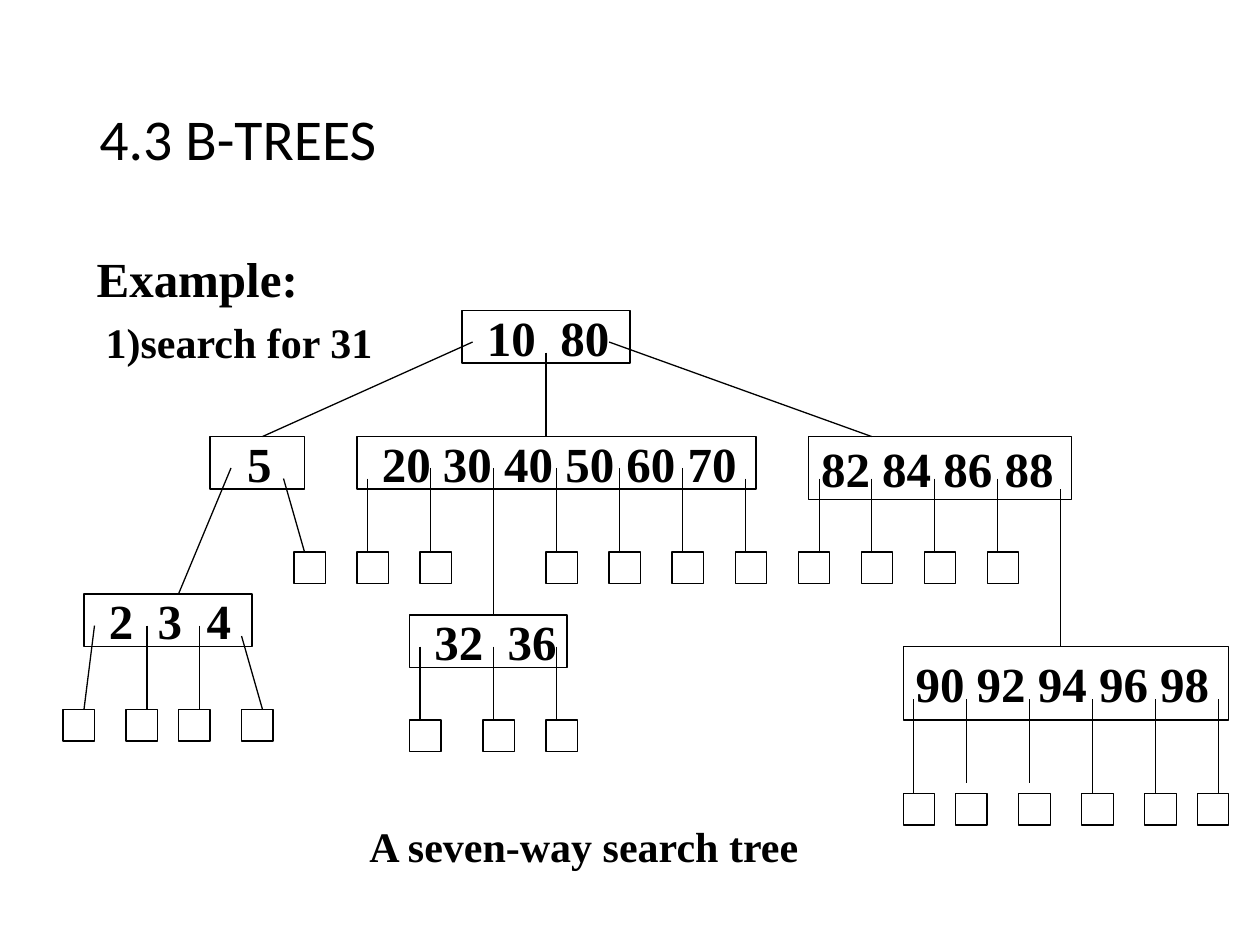
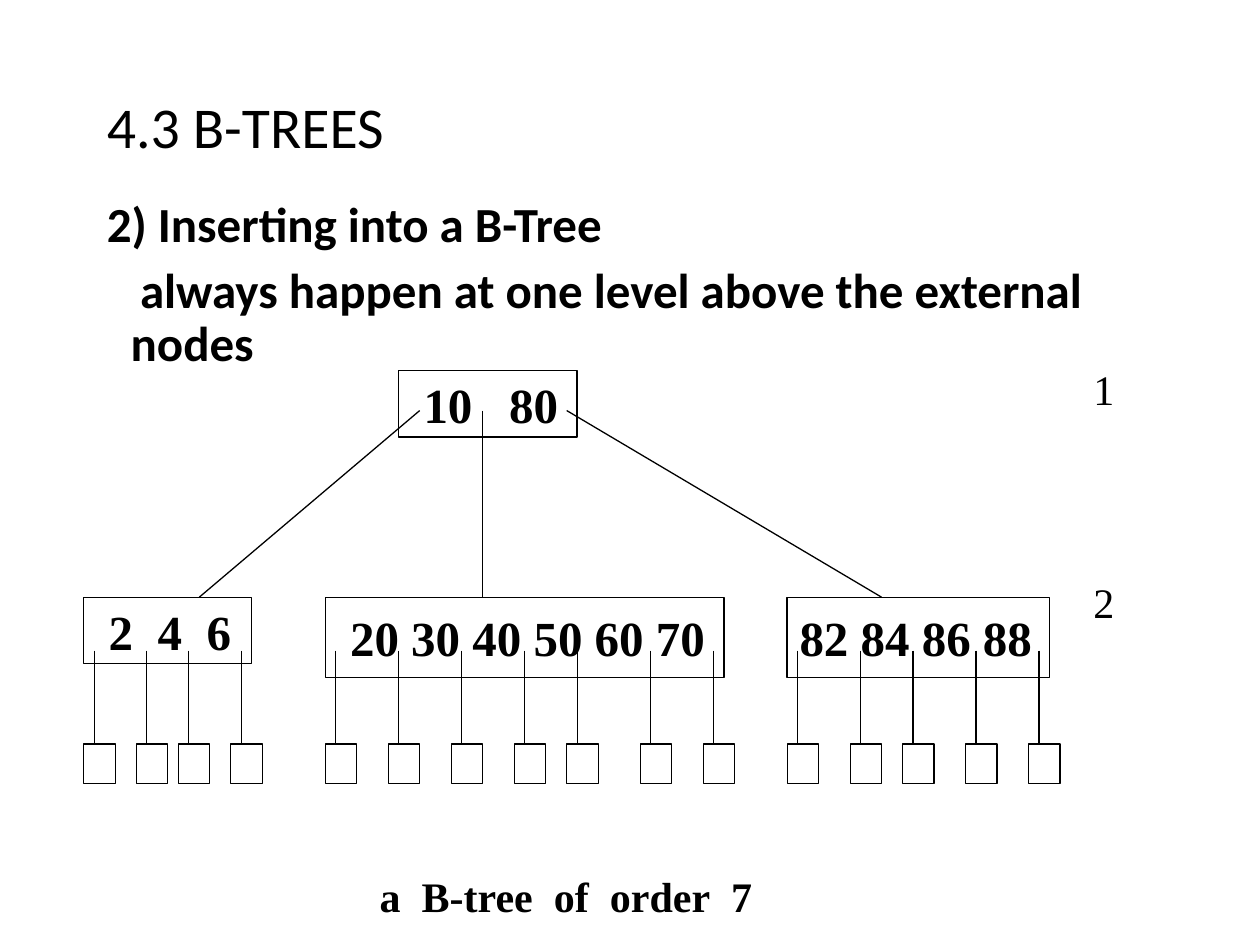
from dataclasses import dataclass

from lxml.etree import SubElement
from pptx import Presentation
from pptx.dml.color import RGBColor
from pptx.enum.shapes import MSO_CONNECTOR, MSO_SHAPE
from pptx.enum.text import MSO_ANCHOR, MSO_AUTO_SIZE, PP_ALIGN
from pptx.oxml.ns import qn
from pptx.util import Cm, Pt


@dataclass(frozen=True)
class Theme:
    ink: RGBColor = RGBColor(0, 0, 0)
    paper: RGBColor = RGBColor(255, 255, 255)
    heading_font: str = "Calibri"
    tree_font: str = "Times New Roman"
    title_size: int = 33
    main_size: int = 28
    label_size: int = 24
    line_width: float = 0.75
    line_spacing: float = 0.9
    inset: float = 0.25


THEME = Theme()
TITLE_ONLY, TITLE_AND_CONTENT = 5, 1
LEAF_SIZE = 3  # columns and rows


# Text helpers
def add_run(paragraph, text, size, font=THEME.tree_font, bold=True):
    run = paragraph.add_run()
    run.text = text
    run.font.size = Pt(size)
    run.font.name = font
    run.font.bold = bold
    run.font.color.rgb = THEME.ink
    return run


def add_spaced_words(paragraph, text, size, gap):
    """Separate words by a space as wide as `gap` ordinary ones."""
    if gap == 1:
        add_run(paragraph, text, size)
        return
    for index, word in enumerate(text.split()):
        if index:
            space = add_run(paragraph, " ", size)
            extra = (gap - 1) * size / 4
            space.font._element.set("spc", str(int(extra * 100)))
        add_run(paragraph, word, size)


def add_label(slide, text, box, size=THEME.label_size, bold=True, gap=1, indent=0):
    shape = slide.shapes.add_textbox(*(Cm(length) for length in box))
    frame = shape.text_frame
    frame.word_wrap = True
    frame.margin_left = Cm(THEME.inset + indent)
    paragraph = frame.paragraphs[0]
    if bold:
        add_spaced_words(paragraph, text, size, gap)
    else:
        add_run(paragraph, text, size, bold=False)


# Title shared by both slides
def add_title(slide, box):
    title = slide.shapes.title
    title.left, title.top, title.width, title.height = (Cm(n) for n in box)
    frame = title.text_frame
    frame.auto_size = MSO_AUTO_SIZE.NONE
    frame.vertical_anchor = MSO_ANCHOR.MIDDLE
    paragraph = frame.paragraphs[0]
    paragraph.alignment = PP_ALIGN.LEFT
    paragraph.line_spacing = THEME.line_spacing
    add_run(paragraph, "4.3 B-TREES", THEME.title_size, THEME.heading_font, False)


# Body list: each item is (text, first line indent in cm)
def add_body(slide, box, items):
    body = slide.placeholders[1]
    body.left, body.top, body.width, body.height = (Cm(n) for n in box)
    frame = body.text_frame
    frame.auto_size = MSO_AUTO_SIZE.NONE
    for index, (text, indent) in enumerate(items):
        paragraph = frame.add_paragraph() if index else frame.paragraphs[0]
        paragraph.alignment = PP_ALIGN.LEFT
        paragraph.line_spacing = THEME.line_spacing
        paragraph.space_before = Pt(7.5 if index else 0)
        properties = paragraph._p.get_or_add_pPr()
        properties.set("marL", str(Cm(0.48)))
        properties.set("indent", str(Cm(indent)))
        SubElement(properties, qn("a:buNone"))
        add_run(paragraph, text, THEME.main_size, THEME.heading_font)


class Tree:
    """Draws nodes, leaves and branches on a grid that fills a box."""

    def __init__(self, slide, box, columns, rows):
        self.slide = slide
        self.left, self.top, width, height = box
        self.column = width / columns
        self.row = height / rows

    def point(self, column, row):
        return (Cm(self.left + column * self.column),
                Cm(self.top + row * self.row))

    def rectangle(self, column, row, columns, rows):
        shape = self.slide.shapes.add_shape(
            MSO_SHAPE.RECTANGLE, *self.point(column, row),
            Cm(columns * self.column), Cm(rows * self.row))
        shape.shadow.inherit = False
        shape.fill.background()
        shape.line.color.rgb = THEME.ink
        shape.line.width = Pt(THEME.line_width)
        return shape

    def node(self, keys, column, row, columns, rows=5, gap=1, indent=0.25):
        frame = self.rectangle(column, row, columns, rows).text_frame
        frame.word_wrap = True
        frame.vertical_anchor = MSO_ANCHOR.MIDDLE
        frame.margin_left = Cm(THEME.inset + indent)
        frame.margin_right = 0
        paragraph = frame.paragraphs[0]
        paragraph.alignment = PP_ALIGN.LEFT
        add_spaced_words(paragraph, keys, THEME.main_size, gap)

    def leaves(self, columns, row):
        for column in columns:
            self.rectangle(column, row, LEAF_SIZE, LEAF_SIZE)

    def branch(self, start, end):
        line = self.slide.shapes.add_connector(
            MSO_CONNECTOR.STRAIGHT, *self.point(*start), *self.point(*end))
        line.line.color.rgb = THEME.ink
        line.line.width = Pt(THEME.line_width)
        SubElement(line._element.spPr, qn("a:effectLst"))

    def drops(self, columns, top, bottom):
        for column in columns:
            self.branch((column, top), (column, bottom))

    def label(self, text, column, row, columns, **style):
        box = (self.left + column * self.column, self.top + row * self.row,
               columns * self.column, 1.27)
        add_label(self.slide, text, box, **style)


# Seven-way search tree
def draw_search_tree(slide, box):
    tree = Tree(slide, box, columns=111, rows=54)

    # Root and second level
    tree.node("10 80", 38, 0, 16, gap=2)
    tree.node("5", 14, 12, 9, indent=0.5)
    tree.node("20 30 40 50 60 70", 28, 12, 38)
    tree.node("82 84 86 88", 71, 12, 25, rows=6, indent=0)
    tree.branch((39, 3), (19, 12))
    tree.branch((46, 4), (46, 12))
    tree.branch((52, 3), (77, 12))

    # Leaves below the second level
    tree.leaves([22, *range(28, 35, 6), *range(46, 89, 6)], 23)
    tree.branch((21, 16), (23, 23))
    tree.drops([29, 65, 72, 77, 83, 89], 16, 23)
    tree.drops([35, 47, 53, 59], 15, 23)

    # Third level
    tree.node("2 3 4", 2, 27, 16, gap=2)
    tree.node("32 36", 33, 29, 15, gap=2)
    tree.node("90 92 94 96 98", 80, 32, 31, rows=7, indent=0)
    tree.branch((16, 15), (11, 27))
    tree.drops([41], 15, 29)
    tree.drops([95], 17, 32)

    # Leaves below the third level
    tree.leaves([0, 6, 11, 17], 38)
    tree.branch((3, 30), (2, 38))
    tree.drops([8, 13], 30, 38)
    tree.branch((17, 31), (19, 38))
    tree.leaves([33, 40, 46], 39)
    tree.drops([34, 41, 47], 32, 39)
    tree.leaves([80, 85, 91, 97, 103, 108], 46)
    tree.drops([81, 98, 104, 110], 37, 46)
    tree.drops([86, 92], 37, 45)

    tree.label("A seven-way search tree", 28, 48, 44)


# B-tree of order 7
def draw_order_seven_tree(slide, box):
    tree = Tree(slide, box, columns=99, rows=42)

    # Root and second level
    tree.node("10 80", 30, 0, 17, gap=3)
    tree.node("2 4 6", 0, 17, 16, gap=2)
    tree.node("20 30 40 50 60 70", 23, 17, 38, rows=6)
    tree.node("82 84 86 88", 67, 17, 25, rows=6, indent=0)
    for start, end in ((32, 11), (38, 38), (46, 76)):
        tree.branch((start, 3), (end, 17))

    # Leaves, each hanging one column in from its left edge
    leaf_columns = [0, 5, 9, 14, 23, 29, 35, 41, 46, 53, 59, 67, 73, 78, 84, 90]
    tree.leaves(leaf_columns, 28)
    tree.drops([column + 1 for column in leaf_columns], 21, 28)

    # Level numbers and caption
    for level, row in (("1", -1), ("2", 15)):
        tree.label(level, 95, row, 4, bold=False)
    tree.label("a B-tree of order 7", 21, 37, 56, gap=2, indent=1.27)


def add_slide(presentation, layout):
    slide = presentation.slides.add_slide(presentation.slide_layouts[layout])
    slide.background.fill.solid()
    slide.background.fill.fore_color.rgb = THEME.paper
    return slide


def build_search_slide(presentation):
    slide = add_slide(presentation, TITLE_ONLY)
    add_title(slide, (1.75, 1.02, 21.92, 3.68))
    draw_search_tree(slide, (1.27, 6.26, 23.5, 11.43))
    add_label(slide, "Example:", (1.7, 4.88, 7.19, 1.45), THEME.main_size)
    add_label(slide, "1)search for 31", (1.88, 6.25, 6.2, 2.51))


def build_insert_slide(presentation):
    slide = add_slide(presentation, TITLE_AND_CONTENT)
    add_title(slide, (1.9, 1.12, 21.59, 3))
    add_body(slide, (1.9, 3.91, 21.59, 13.21), [
        ("2) Inserting into a B-Tree", -0.48),
        ("always happen at one level above the external nodes", 0.19),
    ])
    draw_order_seven_tree(slide, (1.69, 7.47, 20.95, 11.29))


def main():
    presentation = Presentation()
    presentation.slide_width = Cm(25.4)
    presentation.slide_height = Cm(19.05)
    build_search_slide(presentation)
    build_insert_slide(presentation)
    presentation.save("out.pptx")


if __name__ == "__main__":
    main()
